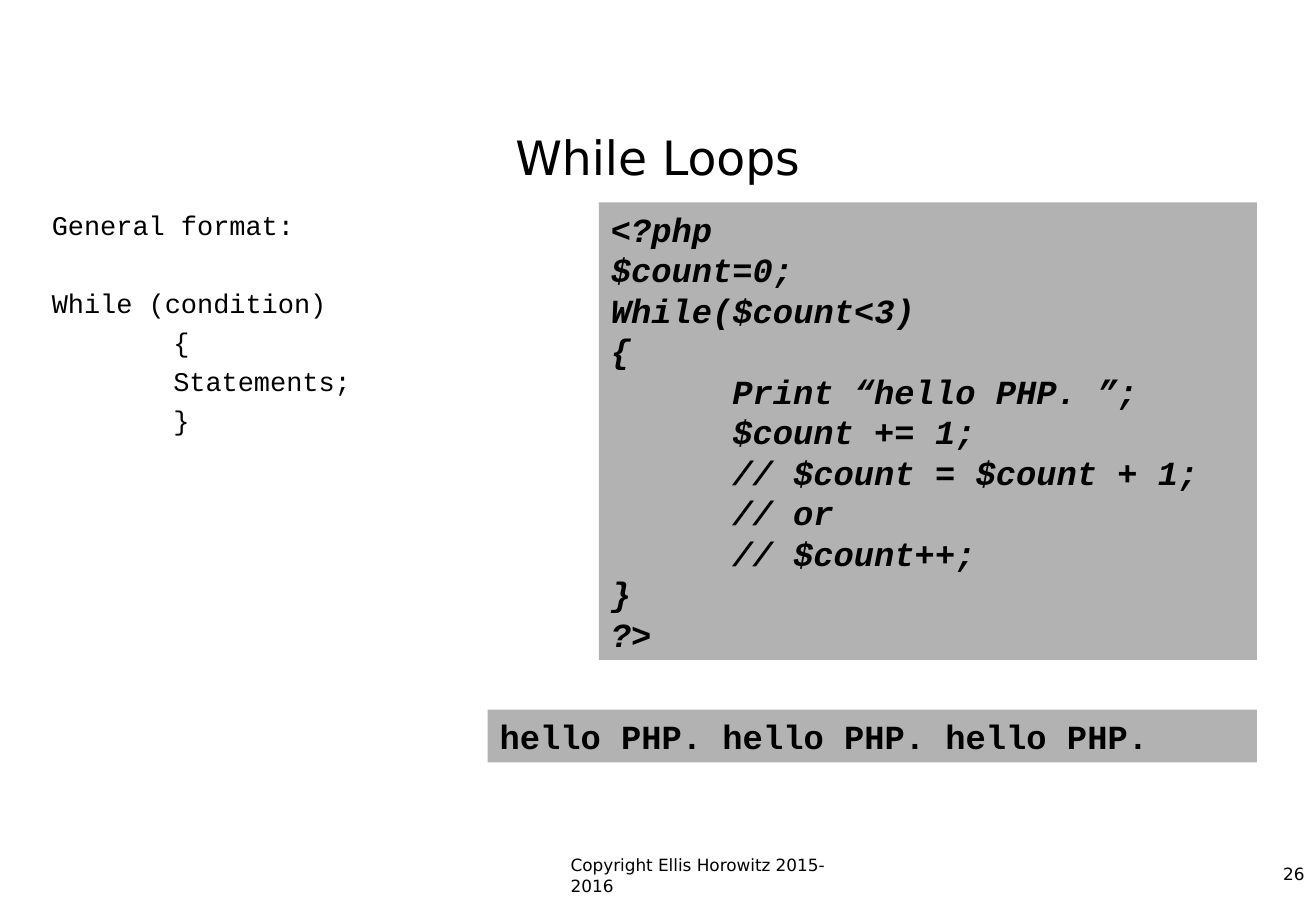
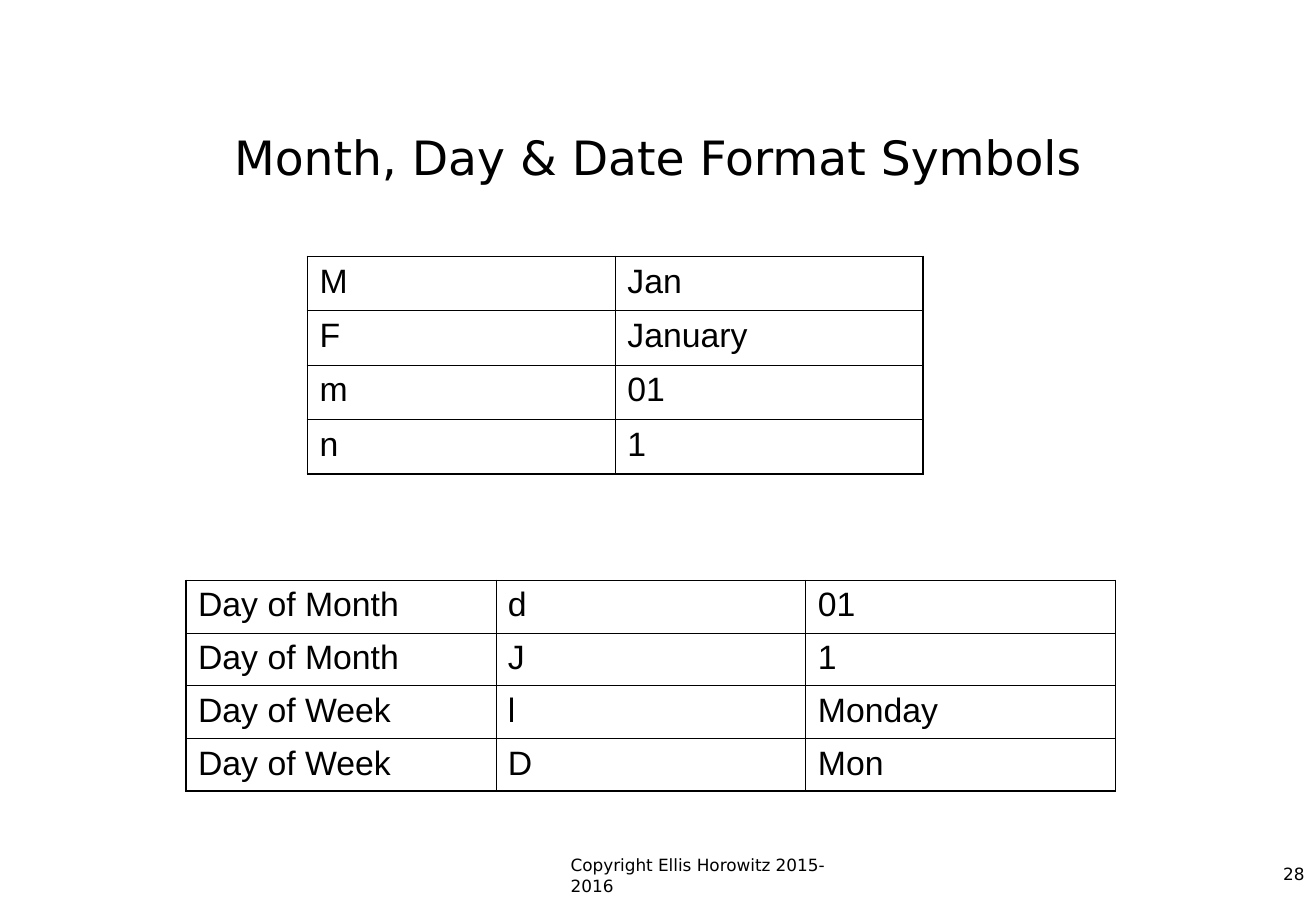
"""Two lecture slides on PHP: while loops and date format symbols."""
from pptx import Presentation
from pptx.dml.color import RGBColor
from pptx.enum.shapes import MSO_SHAPE as SHAPE
from pptx.enum.text import MSO_ANCHOR as ANCHOR, PP_ALIGN as ALIGN
from pptx.oxml.ns import qn
from pptx.util import Pt
from lxml.etree import SubElement

COLORS = {"text": "000000", "panel": "B2B2B2", "paper": "FFFFFF"}
SANS, MONO, TABLE_FONT = "DejaVu Sans", "Courier New", "Arial"
TAB = 72
OUTER, INNER = 1.08, 0.45


def write(tf, lines, font, size, bold=False, italic=False, align=ALIGN.LEFT, gap=0, pitch=None):
    tf.word_wrap = True
    for i, line in enumerate(lines):
        p = tf.paragraphs[0] if i == 0 else tf.add_paragraph()
        p.alignment = align
        p.space_before = Pt(gap if i else 0)
        if pitch:
            p.line_spacing = Pt(pitch)
        if line.startswith("\t"):
            p._p.get_or_add_pPr().set("marL", str(Pt(TAB)))
        r = p.add_run()
        r.text = line.strip()
        r.font.name, r.font.size = font, Pt(size)
        r.font.bold, r.font.italic = bold, italic
        r.font.color.rgb = RGBColor.from_string(COLORS["text"])


def add_box(s, left, top, width, height, filled=False):
    box = [Pt(v) for v in (left, top, width, height)]
    if not filled:
        return s.shapes.add_textbox(*box).text_frame
    sp = s.shapes.add_shape(SHAPE.RECTANGLE, *box)
    sp.shadow.inherit = False
    sp.fill.solid()
    sp.fill.fore_color.rgb = RGBColor.from_string(COLORS["panel"])
    sp.line.fill.background()
    sp.text_frame.vertical_anchor = ANCHOR.TOP
    return sp.text_frame


prs = Presentation()
prs.slide_width, prs.slide_height = Pt(780), Pt(540)

slides = []
for title, number in (("While Loops", "26"), ("Month, Day & Date Format Symbols", "28")):
    s = prs.slides.add_slide(prs.slide_layouts[6])
    s.background.fill.solid()
    s.background.fill.fore_color.rgb = RGBColor.from_string(COLORS["paper"])
    write(add_box(s, 717, 508.3, 63.3, 21), [number], SANS, 10, align=ALIGN.RIGHT)
    write(add_box(s, 331.2, 503.3, 177, 20), ["Copyright Ellis Horowitz 2015-2016"], SANS, 10)
    tf = add_box(s, 58.5, 48, 662.5, 90)
    tf.vertical_anchor = ANCHOR.MIDDLE
    write(tf, [title], SANS, 28, align=ALIGN.CENTER)
    slides.append(s)
loops, dates = slides

general = add_box(loops, 23.6, 120, 663, 324)
write(general, ["General format:", "While (condition)", "\t{", "\tStatements;", "\t}"],
      MONO, 16, gap=4, pitch=19.2)
general.paragraphs[1].space_before = Pt(4 + 19.2 + 4)

code = ["<?php", "$count=0;", "While($count<3)", "{", "\tPrint “hello PHP. ”;", "\t$count += 1;",
        "\t// $count = $count + 1;", "\t// or", "\t// $count++;", "}", "?>"]
write(add_box(loops, 355, 120, 390, 271.2, filled=True), code, MONO, 20, bold=True, italic=True, pitch=24)
write(add_box(loops, 289, 420.7, 456, 31.2, filled=True), ["hello PHP. hello PHP. hello PHP."],
      MONO, 20, bold=True, pitch=24)

months = [("M", "Jan"), ("F", "January"), ("m", "01"), ("n", "1")]
days = [("Day of Month", "d", "01"), ("Day of Month", "J", "1"),
        ("Day of Week", "l", "Monday"), ("Day of Week", "D", "Mon")]
for rows, left, top, col_width, row_height in ((months, 182.2, 152, 182.5, 32.25),
                                               (days, 110.2, 344, 183.7, 31.2)):
    n_rows, n_cols = len(rows), len(rows[0])
    table = dates.shapes.add_table(n_rows, n_cols, Pt(left), Pt(top),
                                   Pt(col_width * n_cols), Pt(row_height * n_rows)).table
    table.first_row = table.horz_banding = False
    for i, row in enumerate(rows):
        for j, text in enumerate(row):
            cell = table.cell(i, j)
            cell.margin_left = cell.margin_right = Pt(7.2)
            cell.margin_top = cell.margin_bottom = Pt(3.6)
            write(cell.text_frame, [text], TABLE_FONT, 20)
            tcPr = cell._tc.get_or_add_tcPr()
            edges = {"a:lnL": j == 0, "a:lnR": j == n_cols - 1, "a:lnT": i == 0, "a:lnB": i == n_rows - 1}
            for tag, is_outer in edges.items():
                ln = SubElement(tcPr, qn(tag), w=str(Pt(OUTER if is_outer else INNER)))
                SubElement(SubElement(ln, qn("a:solidFill")), qn("a:srgbClr"), val=COLORS["text"])
            cell.fill.background()

prs.save("out.pptx")
